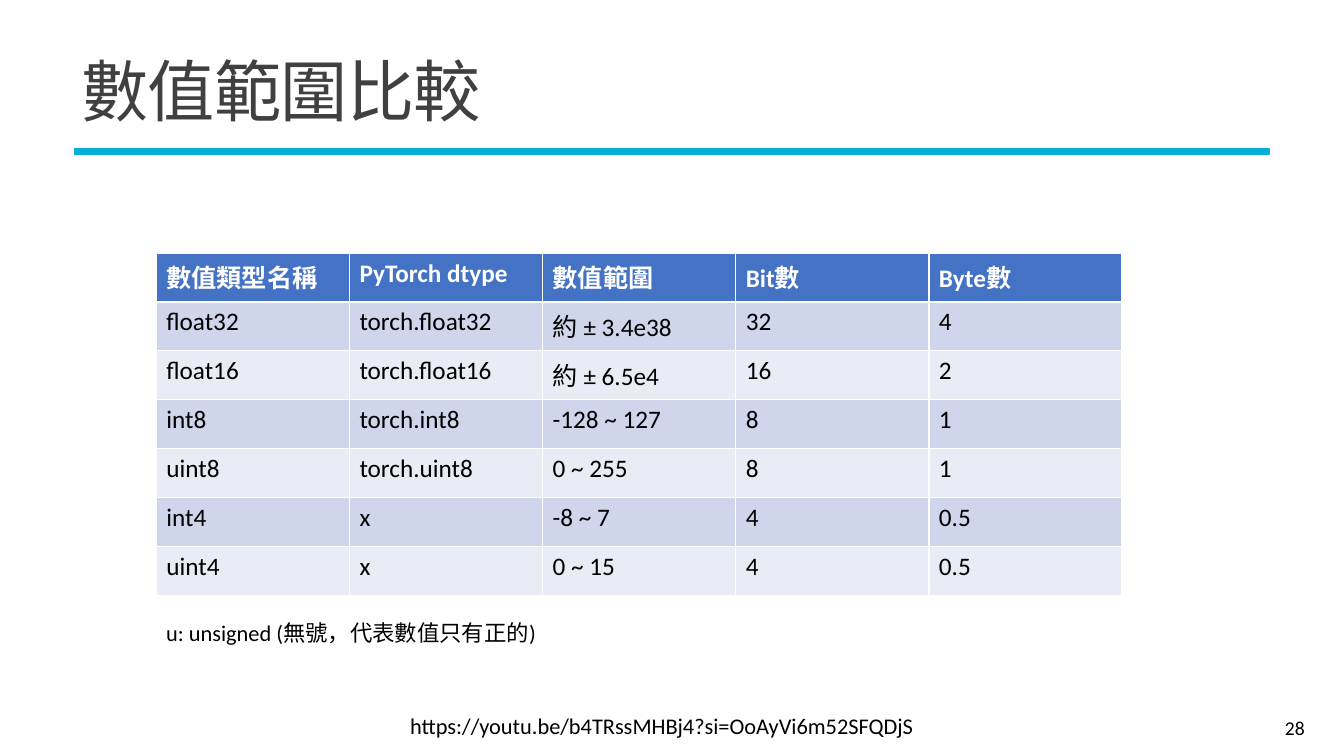
from dataclasses import dataclass
from lxml.etree import SubElement
from pptx import Presentation
from pptx.dml.color import RGBColor as RGB
from pptx.enum.shapes import MSO_SHAPE as Shape
from pptx.enum.text import MSO_ANCHOR as Anchor, MSO_AUTO_SIZE as Auto, PP_ALIGN as Align
from pptx.oxml.ns import qn
from pptx.util import Inches, Pt

BLACK = RGB(0x00, 0x00, 0x00)
WHITE = RGB(0xFF, 0xFF, 0xFF)
GREY = RGB(0x40, 0x40, 0x40)
CYAN = RGB(0x05, 0xAE, 0xD6)
BLUE = RGB(0x44, 0x72, 0xC4)
BANDS = (RGB(0xCF, 0xD5, 0xEA), RGB(0xE9, 0xEB, 0xF5))
LATIN = "Calibri"
HAN = "Noto Sans CJK TC"

# Each cell is a list of runs parted by "|"
ROWS = [
    ("數值類型名稱", "PyTorch dtype", "數值範圍", "Bit|數", "Byte|數"),
    ("float32", "torch.float32", "約 |± 3.4e38", "32", "4"),
    ("float16", "torch.float16", "約 |± 6.5e4", "16", "2"),
    ("int8", "torch.int8", "-128 ~ 127", "8", "1"),
    ("uint8", "torch.uint8", "0 ~ 255", "8", "1"),
    ("int4", "x", "-8 ~ 7", "4", "0.5"),
    ("uint4", "x", "0 ~ 15", "4", "0.5"),
]


@dataclass
class Label:
    text: str
    left: float
    top: float
    width: float
    height: float
    size: float
    color: RGB = BLACK
    align: Align = Align.LEFT
    anchor: Anchor = Anchor.TOP
    grow: bool = False
    leading: float = 1.0
    track: int = 0


TITLE = Label("數值範圍比較", 0.71, 0.39, 11.94, 1.13, 48, GREY,
              anchor=Anchor.MIDDLE, leading=0.85, track=-50)
LABELS = [
    TITLE,
    Label("28", 11.61, 7.02, 1.43, 0.4, 14, align=Align.RIGHT, anchor=Anchor.MIDDLE),
    Label("https://youtu.be/b4TRssMHBj4?si=OoAyVi6m52SFQDjS",
          3.97, 7.02, 5.4, 0.37, 16, grow=True),
    Label("u: unsigned (|無號，代表數值只有正的|)", 1.55, 6.09, 5.4, 0.37, 16, grow=True),
]


def add_runs(para, text: str, size: float, color: RGB,
             bold: bool = False, track: int = 0) -> None:
    for part in text.split("|"):
        run = para.add_run()
        run.text = part
        font = run.font
        font.size, font.bold = Pt(size), bold
        font.color.rgb = color
        font.name = HAN if part[0] >= "一" else LATIN
        props = run._r.get_or_add_rPr()
        SubElement(props, qn("a:ea")).set("typeface", font.name)
        if track:
            props.set("spc", str(track))


def add_label(slide, label: Label) -> None:
    box = slide.shapes.add_textbox(Inches(label.left), Inches(label.top),
                                   Inches(label.width), Inches(label.height))
    frame = box.text_frame
    frame.word_wrap = True
    frame.vertical_anchor = label.anchor
    frame.auto_size = Auto.SHAPE_TO_FIT_TEXT if label.grow else Auto.NONE
    para = frame.paragraphs[0]
    para.alignment = label.align
    para.line_spacing = label.leading
    add_runs(para, label.text, label.size, label.color, track=label.track)


def add_rule(slide) -> None:
    rule = slide.shapes.add_shape(Shape.RECTANGLE, Inches(0.74), Inches(1.48),
                                  Inches(11.85), Inches(0.05))
    rule.shadow.inherit = False
    rule.fill.solid()
    rule.fill.fore_color.rgb = CYAN
    rule.line.color.rgb = CYAN
    rule.line.width = Pt(1.25)


def add_grid(slide) -> None:
    # The default table style supplies the white cell borders
    grid = slide.shapes.add_table(len(ROWS), len(ROWS[0]), Inches(1.55), Inches(2.51),
                                  Inches(9.58), Inches(3.4)).table
    for i, row in enumerate(ROWS):
        head = i == 0
        for j, text in enumerate(row):
            cell = grid.cell(i, j)
            cell.fill.solid()
            cell.fill.fore_color.rgb = BLUE if head else BANDS[(i - 1) % 2]
            add_runs(cell.text_frame.paragraphs[0], text, 18,
                     WHITE if head else BLACK, bold=head)


def main() -> None:
    deck = Presentation()
    deck.slide_width, deck.slide_height = Inches(13.33), Inches(7.5)
    slide = deck.slides.add_slide(deck.slide_layouts[6])
    add_rule(slide)
    add_grid(slide)
    for label in LABELS:
        add_label(slide, label)
    deck.save("out.pptx")


if __name__ == "__main__":
    main()
